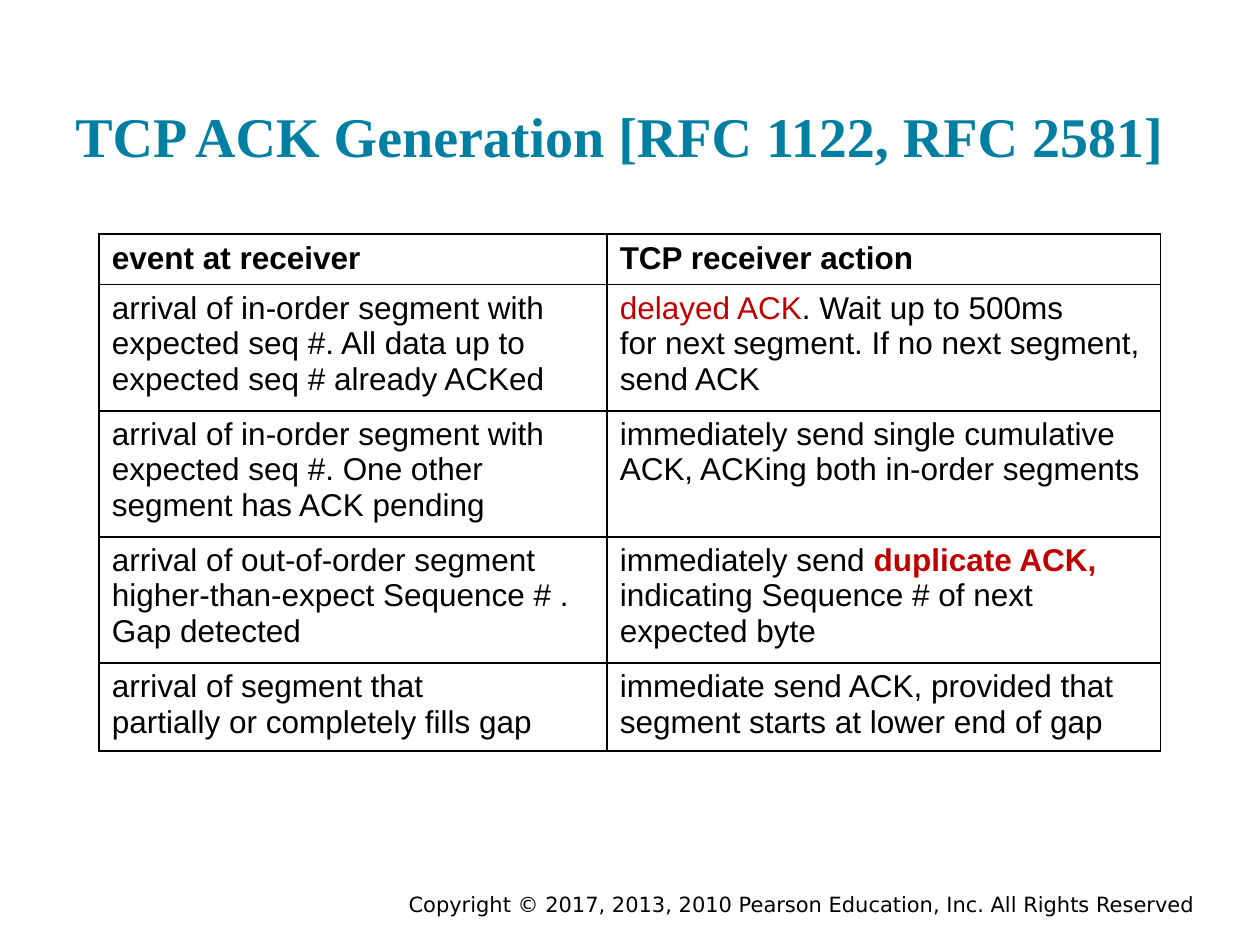
"""Build the slide on TCP ACK generation: a title, a table of receiver rules and a footer."""
from lxml import etree
from pptx import Presentation
from pptx import util as u
from pptx.dml.color import RGBColor
from pptx.enum import text
from pptx.oxml.ns import qn

COLOURS = {"title": "007FA3", "body": "000000", "accent": "C00000", "paper": "FFFFFF"}

COLUMN_WIDTHS = (10.24, 11.15)
ROW_HEIGHTS = (1.02, 2.54, 2.54, 2.54, 1.78)
HEADINGS = ("event at receiver", "TCP receiver action")
RULES = (
    (
        ("arrival of in-order segment with",
         "expected seq #. All data up to",
         "expected seq # already ACKed"),
        ((("delayed ACK", "accent", False), (". Wait up to 500ms", "body", False)),
         "for next segment. If no next segment, send ACK"),
    ),
    (
        ("arrival of in-order segment with",
         "expected seq #. One other",
         "segment has ACK pending"),
        ("immediately send single cumulative",
         "ACK, ACKing both in-order segments"),
    ),
    (
        ("arrival of out-of-order segment",
         "higher-than-expect Sequence # .",
         "Gap detected"),
        ((("immediately send ", "body", False), ("duplicate ACK,", "accent", True)),
         "indicating Sequence # of next expected byte"),
    ),
    (
        ("arrival of segment that",
         "partially or completely fills gap"),
        ("immediate send ACK, provided that",
         "segment starts at lower end of gap"),
    ),
)


def add_run(paragraph, wording, font_name, size, colour, bold=False):
    """Append one formatted run to a paragraph."""
    run = paragraph.add_run()
    run.text = wording
    run.font.name = font_name
    run.font.size = u.Pt(size)
    run.font.bold = bold
    run.font.color.rgb = RGBColor.from_string(COLOURS[colour])


def add_text_box(slide, left, top, width, height, anchor):
    """Add a wrapping text box and return its frame."""
    box = slide.shapes.add_textbox(u.Cm(left), u.Cm(top), u.Cm(width), u.Cm(height))
    frame = box.text_frame
    frame.word_wrap = True
    frame.vertical_anchor = anchor
    return frame


def add_title(slide):
    """Add the slide heading."""
    frame = add_text_box(slide, 1.27, 1.78, 22.86, 1.88, text.MSO_ANCHOR.BOTTOM)
    frame.margin_top = frame.margin_bottom = u.Cm(0.25)
    add_run(frame.paragraphs[0], "TCP ACK Generation [RFC 1122, RFC 2581]",
            "Times New Roman", 32, "title", bold=True)


def add_footer(slide):
    """Add the copyright line at the lower right."""
    frame = add_text_box(slide, 7.42, 17.91, 16.92, 0.64, text.MSO_ANCHOR.MIDDLE)
    notice = frame.paragraphs[0]
    notice.alignment = text.PP_ALIGN.RIGHT
    add_run(notice, "Copyright © 2017, 2013, 2010 Pearson Education, Inc. All Rights Reserved",
            "DejaVu Sans", 12, "body")


def set_borders(cell):
    """Draw a thin line on all four sides of a cell."""
    properties = cell._tc.get_or_add_tcPr()
    for position, side in enumerate(("a:lnL", "a:lnR", "a:lnT", "a:lnB")):
        line = etree.Element(qn(side), w=str(u.Pt(1)))
        fill = etree.SubElement(line, qn("a:solidFill"))
        etree.SubElement(fill, qn("a:srgbClr"), val=COLOURS["body"])
        properties.insert(position, line)


def fill_cell(cell, lines, bold=False):
    """Write lines, each a string or a group of styled pieces, into a cell."""
    cell.fill.solid()
    cell.fill.fore_color.rgb = RGBColor.from_string(COLOURS["paper"])
    set_borders(cell)
    frame = cell.text_frame
    for number, line in enumerate(lines):
        paragraph = frame.add_paragraph() if number else frame.paragraphs[0]
        pieces = ((line, "body", bold),) if isinstance(line, str) else line
        for wording, colour, weight in pieces:
            add_run(paragraph, wording, "Arial", 18, colour, weight)


def add_rules_table(slide):
    """Add the table of receiver events and actions."""
    rules = slide.shapes.add_table(
        len(ROW_HEIGHTS), len(COLUMN_WIDTHS), u.Cm(2), u.Cm(4.72),
        u.Cm(sum(COLUMN_WIDTHS)), u.Cm(sum(ROW_HEIGHTS))).table
    rules.first_row = rules.horz_banding = False
    for column, width in zip(rules.columns, COLUMN_WIDTHS):
        column.width = u.Cm(width)
    for row, height in zip(rules.rows, ROW_HEIGHTS):
        row.height = u.Cm(height)
    for cell, heading in zip(rules.rows[0].cells, HEADINGS):
        fill_cell(cell, (heading,), bold=True)
    for number, rule in enumerate(RULES, start=1):
        for cell, lines in zip(rules.rows[number].cells, rule):
            fill_cell(cell, lines)


def main():
    """Create the deck and save it."""
    deck = Presentation()
    deck.slide_width, deck.slide_height = u.Cm(25.4), u.Cm(19.05)
    slide = deck.slides.add_slide(deck.slide_layouts[6])
    add_footer(slide)
    add_title(slide)
    add_rules_table(slide)
    deck.save("out.pptx")


if __name__ == "__main__":
    main()
